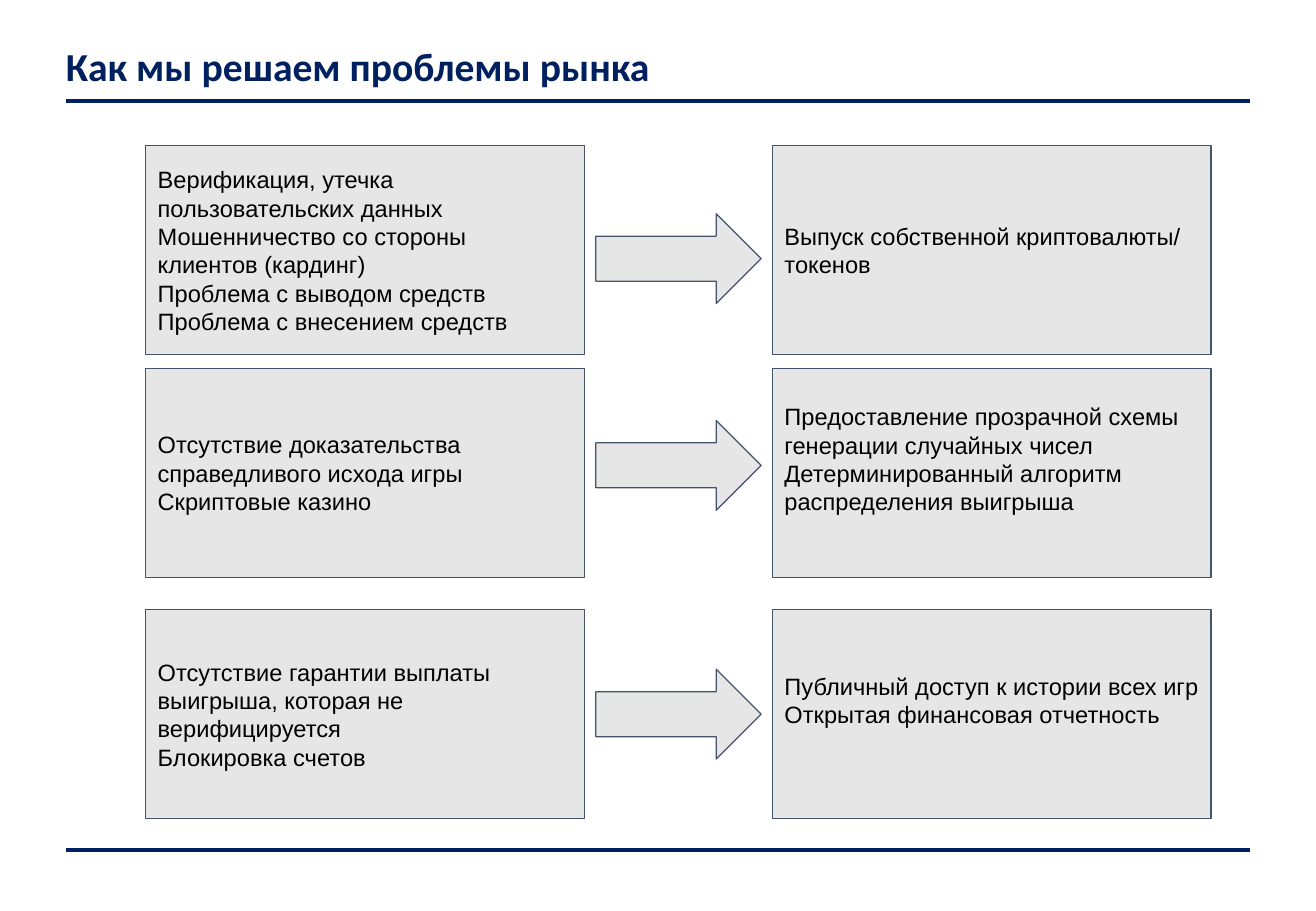
from dataclasses import dataclass
from lxml import etree
from pptx import Presentation
from pptx.dml.color import RGBColor as RGB
from pptx.enum.shapes import MSO_CONNECTOR as CONN, MSO_SHAPE as SHAPE
from pptx.enum.text import MSO_ANCHOR as ANCHOR, PP_ALIGN as ALIGN
from pptx.oxml.ns import qn
from pptx.util import Pt


@dataclass(frozen=True)
class Theme:
    """Colours, fonts and sizes of the slide."""
    navy: RGB = RGB.from_string("002060")
    fill: RGB = RGB.from_string("E7E6E6")
    border: RGB = RGB.from_string("44546A")
    text: RGB = RGB.from_string("000000")
    title_font: str = "Calibri"
    body_font: str = "Arial"
    title_size: float = 23.5
    body_size: float = 14
    rule_width: float = 2.25
    border_width: float = 0.75


T = Theme()
TITLE = "Как мы решаем проблемы рынка"
ROWS = [
    dict(top=86.4, arrow_dy=40.3, extra_bottom=0,
         problem=["Верификация, утечка пользовательских данных",
                  "Мошенничество со стороны клиентов (кардинг)",
                  "Проблема с выводом средств",
                  "Проблема с внесением средств"],
         solution=["Выпуск собственной криптовалюты/ токенов"]),
    dict(top=218.3, arrow_dy=30.9, extra_bottom=16.5,
         problem=["Отсутствие доказательства справедливого исхода игры",
                  "Скриптовые казино"],
         solution=["Предоставление прозрачной схемы генерации случайных чисел",
                   "Детерминированный алгоритм распределения выигрыша"]),
    dict(top=361.4, arrow_dy=35.3, extra_bottom=16.5,
         problem=["Отсутствие гарантии выплаты выигрыша, которая не верифицируется",
                  "Блокировка счетов"],
         solution=["Публичный доступ к истории всех игр",
                   "Открытая финансовая отчетность"]),
]


def apply(obj, **values):
    """Set each named attribute on an object."""
    for name, value in values.items():
        setattr(obj, name, value)


def add_block(slide, kind, x, y, w, h):
    """Add a grey outlined shape."""
    sp = slide.shapes.add_shape(kind, Pt(x), Pt(y), Pt(w), Pt(h))
    sp.shadow.inherit = False
    sp.fill.solid()
    sp.fill.fore_color.rgb = T.fill
    sp.line.color.rgb = T.border
    sp.line.width = Pt(T.border_width)
    return sp


def add_card(slide, lines, x, y, w, h, extra_bottom=0):
    """Add a box of left-aligned statements, one paragraph each."""
    tf = add_block(slide, SHAPE.RECTANGLE, x, y, w, h).text_frame
    inset = 7.2
    apply(tf, word_wrap=True, vertical_anchor=ANCHOR.MIDDLE,
          margin_left=Pt(inset), margin_right=Pt(inset),
          margin_top=Pt(inset), margin_bottom=Pt(inset + extra_bottom))
    for i, line in enumerate(lines):
        p = tf.add_paragraph() if i else tf.paragraphs[0]
        p.alignment = ALIGN.LEFT
        r = p.add_run()
        r.text = line
        apply(r.font, name=T.body_font, size=Pt(T.body_size))
        r.font.color.rgb = T.text


def add_row(slide, row, x, w, h):
    """Place a problem, an arrow and its solution across the given width."""
    card_w, arrow_w, arrow_h = 260, 98, 53.3
    y = row["top"]
    add_card(slide, row["problem"], x, y, card_w, h)
    add_card(slide, row["solution"], x + w - card_w, y, card_w, h, row["extra_bottom"])
    add_block(slide, SHAPE.RIGHT_ARROW, x + (w - arrow_w) / 2, y + row["arrow_dy"],
              arrow_w, arrow_h)


def add_rule(slide, x, y, w):
    """Draw a horizontal navy rule."""
    line = slide.shapes.add_connector(CONN.STRAIGHT, Pt(x), Pt(y), Pt(x + w), Pt(y))
    line.line.color.rgb = T.navy
    line.line.width = Pt(T.rule_width)
    etree.SubElement(line._element.spPr, qn("a:effectLst"))


def add_title(slide, text, x, y, w, h):
    """Move and format the title placeholder."""
    sp = slide.shapes.title
    apply(sp, left=Pt(x), top=Pt(y), width=Pt(w), height=Pt(h))
    tf = sp.text_frame
    tf.text = text
    apply(tf, word_wrap=True, vertical_anchor=ANCHOR.BOTTOM, margin_left=0,
          margin_right=0, margin_top=Pt(3.6), margin_bottom=Pt(3.6))
    p = tf.paragraphs[0]
    apply(p, alignment=ALIGN.LEFT, line_spacing=0.9)
    apply(p.font, name=T.title_font, size=Pt(T.title_size), bold=True)
    p.font.color.rgb = T.navy


def main():
    """Build and save the slide."""
    prs = Presentation()
    apply(prs, slide_width=Pt(780), slide_height=Pt(540))
    slide = prs.slides.add_slide(prs.slide_layouts[5])
    for y in (60, 504):
        add_rule(slide, 39, y, 702)
    add_title(slide, TITLE, 39, 28.8, 560, 28)
    for row in ROWS:
        add_row(slide, row, x=86.4, w=631.5, h=124)
    prs.save("out.pptx")


if __name__ == "__main__":
    main()
